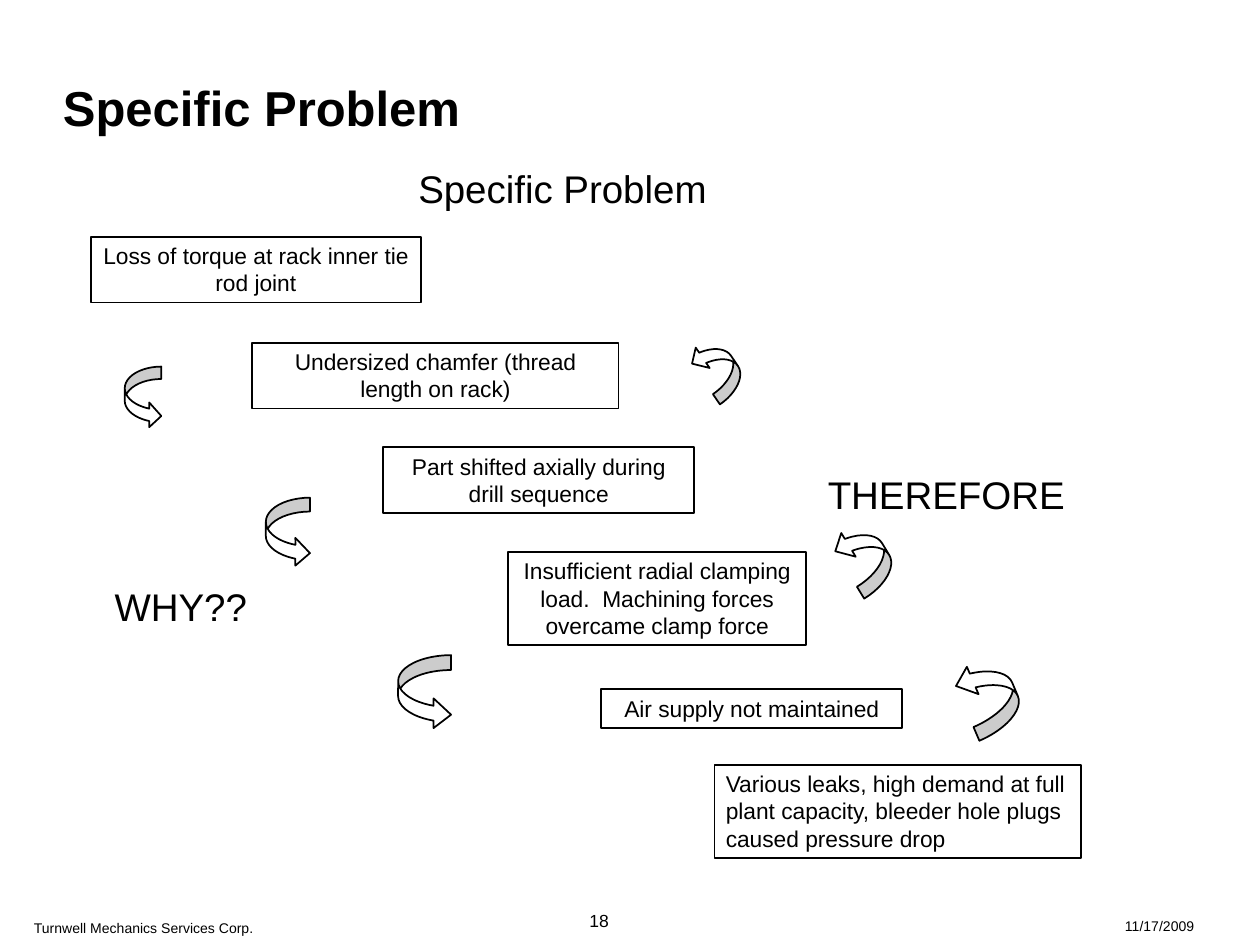
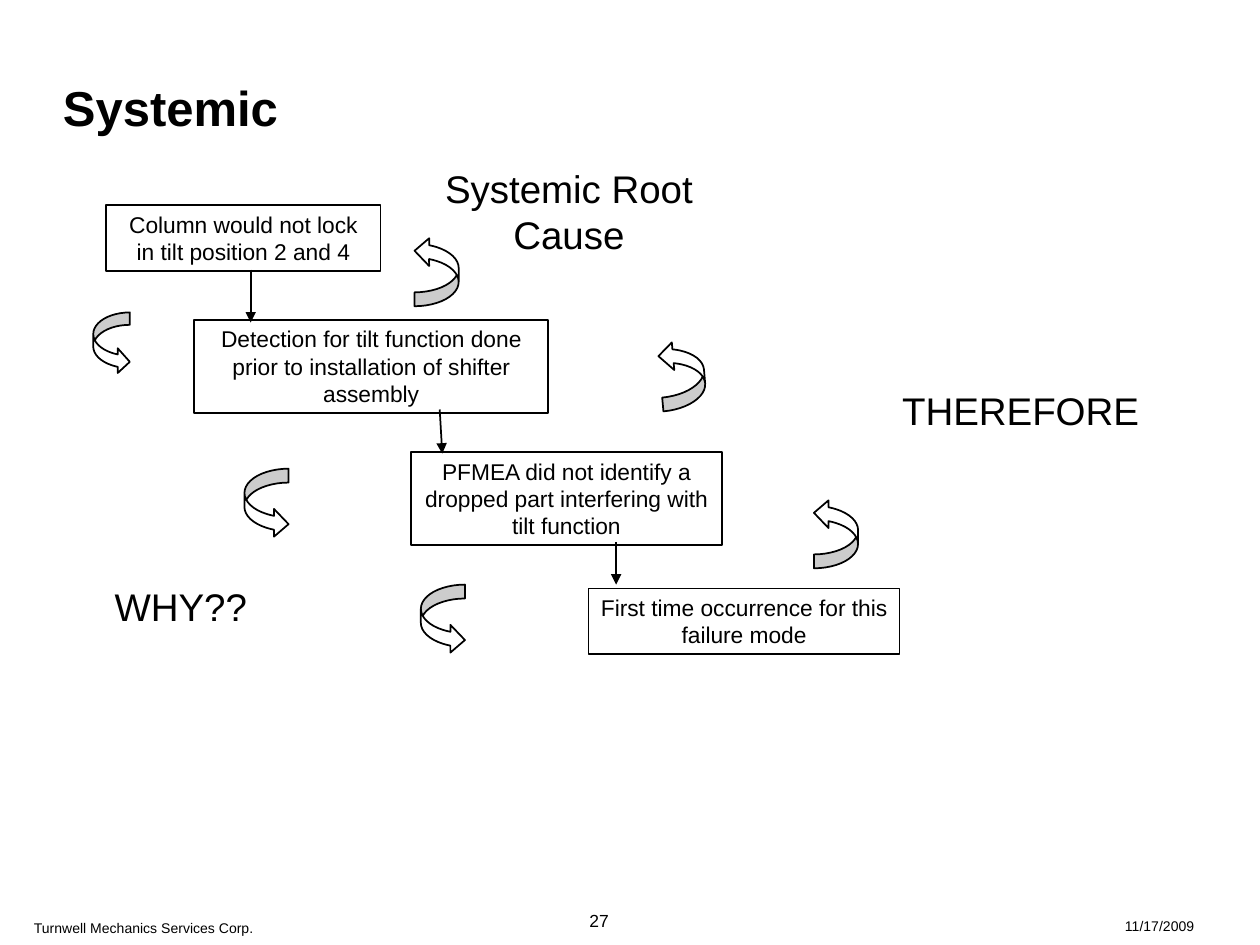
from dataclasses import dataclass

from lxml import etree
from pptx import Presentation, util as u
from pptx.dml.color import RGBColor
from pptx.enum import shapes, text
from pptx.oxml import ns

BLACK = RGBColor(0, 0, 0)
WHITE = RGBColor(255, 255, 255)
FONT = "Arial"
COLS, ROWS = 100, 75
SLIDE_W, SLIDE_H = u.Inches(10), u.Inches(7.5)
LEFT, CENTER = text.PP_ALIGN.LEFT, text.PP_ALIGN.CENTER
ARROW_SIZES = {"small": (2.9, 4.9), "medium": (3.5, 5.5), "large": (4.2, 5.9)}


@dataclass
class Box:
    """A region of the slide in grid columns and rows."""
    x: float
    y: float
    w: float
    h: float

    def within(self, x, y, w, h):
        """Return a box offset from this one's corner."""
        return Box(self.x + x, self.y + y, w, h)

    def emu(self):
        """Return left, top, width and height in slide units."""
        cw, rh = SLIDE_W / COLS, SLIDE_H / ROWS
        return [round(v) for v in (self.x * cw, self.y * rh, self.w * cw, self.h * rh)]


PAGE = Box(0, 0, COLS, ROWS)
TITLE = PAGE.within(5, 0.8, 65, 10)
DIAGRAM = PAGE.within(5, 12, 90, 58)
FOOTER = PAGE.within(0, 71, COLS, 4)


def write(sp, words, size, align=LEFT, bold=False, inset=(0.09, 0.04),
          anchor=text.MSO_ANCHOR.TOP):
    """Put one styled paragraph in a shape."""
    tf = sp.text_frame
    tf.word_wrap = True
    tf.vertical_anchor = anchor
    tf.margin_left = tf.margin_right = u.Inches(inset[0])
    tf.margin_top = tf.margin_bottom = u.Inches(inset[1])
    p = tf.paragraphs[0]
    p.text = words
    p.alignment = align
    for r in p.runs:
        r.font.name, r.font.size, r.font.bold = FONT, u.Pt(size), bold
        r.font.color.rgb = BLACK


def label(s, box, words, size, **style):
    """Add a text box."""
    write(s.shapes.add_textbox(*box.emu()), words, size, **style)


def outline(line):
    """Give a line the shared stroke."""
    line.color.rgb = BLACK
    line.width = u.Pt(1)


def step(s, area, x, y, w, lines, words, align=CENTER):
    """Add one outlined cause, as tall as its lines of text."""
    box = area.within(x, y, w, 0.9 + 2.16 * lines)
    sp = s.shapes.add_shape(shapes.MSO_SHAPE.RECTANGLE, *box.emu())
    sp.shadow.inherit = False
    sp.fill.background()
    outline(sp.line)
    write(sp, words, 13, align=align)


def curved_arrow(s, area, size, x, y, rotation=0):
    """Add a curved arrow, turned for the way back up."""
    w, h = ARROW_SIZES[size]
    sp = s.shapes.add_shape(shapes.MSO_SHAPE.CURVED_RIGHT_ARROW,
                            *area.within(x, y, w, h).emu())
    sp.shadow.inherit = False
    sp.rotation = rotation
    for i, share in enumerate((0.2 * h / w, 0.4 * h / w, 0.33)):
        sp.adjustments[i] = share
    sp.fill.solid()
    sp.fill.fore_color.rgb = WHITE
    outline(sp.line)


def link(s, area, x1, y1, x2, y2):
    """Add a straight arrow between two causes."""
    left, top, w, h = area.within(x1, y1, x2 - x1, y2 - y1).emu()
    c = s.shapes.add_connector(shapes.MSO_CONNECTOR.STRAIGHT,
                               left, top, left + w, top + h)
    outline(c.line)
    props = c._element.spPr
    etree.SubElement(props.find(ns.qn("a:ln")), ns.qn("a:tailEnd"), type="triangle")
    etree.SubElement(props, ns.qn("a:effectLst"))


def footer(s, area, number):
    """Add company, page number and date."""
    for x, y, w, h, words, size in (
            (1.7, 1.5, 45, 3.6, "Turnwell Mechanics Services Corp.", 8),
            (88.3, 1.3, 14.2, 2.4, "11/17/2009", 8),
            (45.8, 0.7, 6.7, 2.7, str(number), 10)):
        label(s, area.within(x, y, w, h), words, size, inset=(0.1, 0.05))


def why_chain(s, area, steps, arrows, links, labels):
    """Draw the causes, the arrows around them and the large labels."""
    for item in steps:
        step(s, area, *item)
    for item in links:
        link(s, area, *item)
    for item in arrows:
        curved_arrow(s, area, *item)
    label(s, area.within(0.2, 33.9, 18.3, 4.6), "WHY??", 22, align=CENTER)
    for x, y, w, h, words, align in labels:
        label(s, area.within(x, y, w, h), words, 22, align=align)


def chain_slide(prs, title, number, **chain):
    """Add a slide with title, cause chain and footer."""
    s = prs.slides.add_slide(prs.slide_layouts[6])
    footer(s, FOOTER, number)
    label(s, TITLE, title, 28, bold=True, inset=(0, 0),
          anchor=text.MSO_ANCHOR.BOTTOM)
    why_chain(s, DIAGRAM, **chain)


def main():
    """Build and save the deck."""
    prs = Presentation()
    prs.slide_width, prs.slide_height = SLIDE_W, SLIDE_H
    chain_slide(
        prs, "Specific Problem", 18,
        steps=[
            (2.2, 6.8, 26.2, 2, "Loss of torque at rack inner tie rod joint"),
            (15, 15.2, 29.1, 2, "Undersized chamfer (thread length on rack)"),
            (25.4, 23.5, 24.7, 2, "Part shifted axially during drill sequence"),
            (35.3, 31.8, 23.7, 3, "Insufficient radial clamping load.  "
                                  "Machining forces overcame clamp force"),
            (42.7, 42.7, 23.9, 1, "Air supply not maintained"),
            (51.7, 48.7, 29.1, 3, "Various leaks, high demand at full plant capacity, "
                                  "bleeder hole plugs caused pressure drop", LEFT),
        ],
        arrows=[
            ("small", 4.9, 17.1), ("medium", 16.1, 27.5), ("large", 26.6, 40),
            ("small", 50.5, 14.8, 145.6), ("medium", 61.9, 29.5, 148.6),
            ("large", 71.4, 40.3, 156.9),
        ],
        links=[],
        labels=[(59.8, 25, 27.3, 4.6, "THEREFORE", LEFT),
                (27.3, 0.7, 28, 4.6, "Specific Problem", LEFT)])
    chain_slide(
        prs, "Systemic", 27,
        steps=[
            (3.4, 4.3, 21.8, 2, "Column would not lock in tilt position 2 and 4"),
            (10.4, 13.4, 28.1, 3, "Detection for tilt function done prior to "
                                  "installation of shifter assembly"),
            (27.6, 23.9, 24.7, 3, "PFMEA did not identify a dropped part "
                                  "interfering with tilt function"),
            (41.7, 34.7, 24.7, 2, "First time occurrence for this failure mode"),
        ],
        arrows=[
            ("small", 2.4, 12.8), ("medium", 14.4, 25.2), ("medium", 28.4, 34.4),
            ("medium", 27.9, 6.8, 180), ("medium", 47.4, 15, 174.8),
            ("medium", 59.6, 27.6, 180),
        ],
        links=[(14.9, 9.4, 14.9, 13.6), (29.9, 20.5, 30.1, 24),
               (43.9, 31, 43.9, 34.4)],
        labels=[(65.7, 18.3, 27.3, 4.6, "THEREFORE", LEFT),
                (29.4, 0.7, 21.5, 8.2, "Systemic Root Cause", CENTER)])
    prs.save("out.pptx")


if __name__ == "__main__":
    main()
